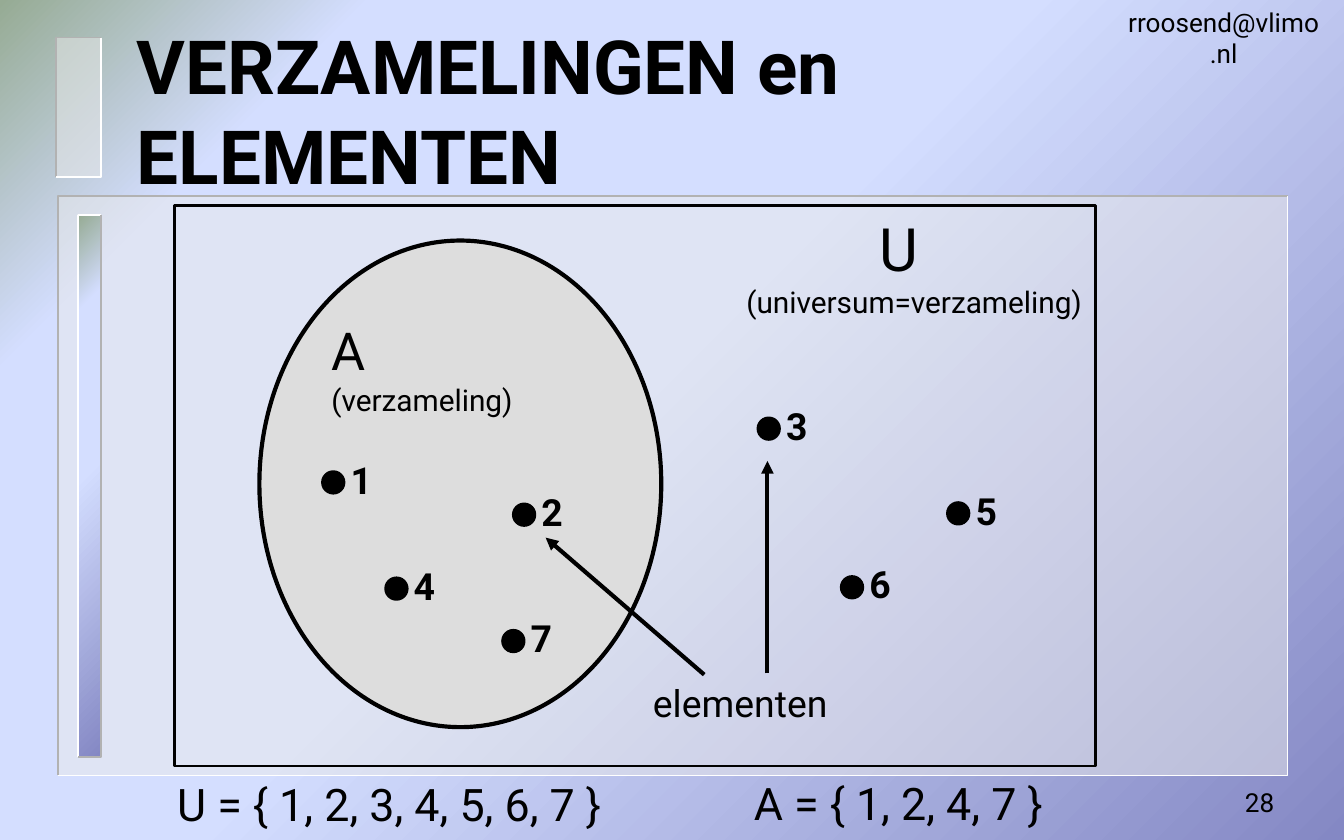
from lxml import etree
from pptx import Presentation
from pptx.dml.color import RGBColor
from pptx.enum.shapes import MSO_CONNECTOR, MSO_SHAPE
from pptx.enum.text import MSO_ANCHOR, MSO_AUTO_SIZE, PP_ALIGN
from pptx.oxml.ns import qn
from pptx.util import Inches, Pt

RECT, OVAL = MSO_SHAPE.RECTANGLE, MSO_SHAPE.OVAL
STRAIGHT = MSO_CONNECTOR.STRAIGHT
LEFT, CENTER, RIGHT = PP_ALIGN.LEFT, PP_ALIGN.CENTER, PP_ALIGN.RIGHT
TOP, MIDDLE = MSO_ANCHOR.TOP, MSO_ANCHOR.MIDDLE
GROW = MSO_AUTO_SIZE.SHAPE_TO_FIT_TEXT

BLACK, WHITE, GREY = "000000", "FFFFFF", "B2B2B2"
PANEL, SET_FILL = "EAEAEA", "DDDDDD"
GRADIENT = [(0, "8488C4"), (53, "D4DEFF"), (83, "D4DEFF"), (100, "96AB94")]
DOT = 0.16


def rgb(value):
    return RGBColor.from_string(value)


class Deck:
    font = "Roboto"

    def __init__(self, prs):
        self.slide = prs.slides.add_slide(prs.slide_layouts[6])
        self.shapes = self.slide.shapes

    def gradient(self, fill, element):
        """Give the fill inside element the diagonal four-stop gradient."""
        fill.gradient()
        fill.gradient_angle = 135
        stops = element.find(".//" + qn("a:gsLst"))
        stops.clear()
        for pos, color in GRADIENT:
            gs = etree.SubElement(stops, qn("a:gs"), pos=str(pos * 1000))
            etree.SubElement(gs, qn("a:srgbClr"), val=color)

    def background(self):
        self.gradient(self.slide.background.fill, self.slide._element)

    def shape(self, kind, x, y, w, h, fill=None, line=None, width=1.5, alpha=None):
        sp = self.shapes.add_shape(kind, Inches(x), Inches(y), Inches(w), Inches(h))
        sp.shadow.inherit = False
        if fill:
            sp.fill.solid()
            sp.fill.fore_color.rgb = rgb(fill)
        else:
            sp.fill.background()
        if alpha:
            color = sp._element.spPr.find(".//" + qn("a:srgbClr"))
            etree.SubElement(color, qn("a:alpha"), val=str(alpha * 1000))
        if line:
            sp.line.color.rgb = rgb(line)
            sp.line.width = Pt(width)
        else:
            sp.line.fill.background()
        return sp

    def edge(self, points, color):
        (x, y), *rest = [(Inches(px), Inches(py)) for px, py in points]
        builder = self.shapes.build_freeform(x, y)
        builder.add_line_segments(rest, close=False)
        sp = builder.convert_to_shape()
        sp.shadow.inherit = False
        sp.fill.background()
        sp.line.color.rgb = rgb(color)
        sp.line.width = Pt(1)

    def bevel(self, x, y, w, h, raised=False):
        """Draw a panel with dark and light edges; a raised one is lit from top left."""
        if raised:
            sp = self.shape(RECT, x, y, w, h)
            self.gradient(sp.fill, sp._element)
        else:
            self.shape(RECT, x, y, w, h, PANEL, alpha=50)
        right, bottom = x + w, y + h
        top_left, bottom_right = (WHITE, GREY) if raised else (GREY, WHITE)
        self.edge([(right, y), (x, y), (x, bottom)], top_left)
        self.edge([(right, y), (right, bottom), (x, bottom)], bottom_right)

    def run(self, p, text, size, bold=False, align=LEFT):
        p.alignment = align
        r = p.add_run()
        r.text = text
        r.font.name = self.font
        r.font.size = Pt(size)
        r.font.bold = bold
        r.font.color.rgb = rgb(BLACK)

    def text(self, x, y, w, h, text, size, bold=False, align=LEFT,
             anchor=TOP, wrap=False):
        tf = self.shapes.add_textbox(Inches(x), Inches(y), Inches(w), Inches(h)).text_frame
        tf.word_wrap = wrap
        tf.vertical_anchor = anchor
        if anchor == TOP:
            tf.auto_size = GROW
        self.run(tf.paragraphs[0], text, size, bold, align)

    def set_label(self, sp, name, size, note, align=LEFT, note_align=LEFT, indent=0):
        """Put a set's name and, below it, its explanation inside its shape."""
        tf = sp.text_frame
        tf.word_wrap = True
        tf.vertical_anchor = TOP
        p = tf.paragraphs[0]
        if indent:
            p._p.get_or_add_pPr().set("marL", str(Inches(indent)))
        self.run(p, name, size, align=align)
        self.run(tf.add_paragraph(), note, 16, align=note_align)

    def element(self, number, x, y):
        self.shape(OVAL, x, y, DOT, DOT, BLACK, BLACK)
        self.text(x + 0.11, y - 0.16, 0.38, 0.44, number, 20, bold=True)

    def arrow(self, x1, y1, x2, y2):
        cxn = self.shapes.add_connector(
            STRAIGHT, Inches(x1), Inches(y1), Inches(x2), Inches(y2))
        cxn.line.color.rgb = rgb(BLACK)
        cxn.line.width = Pt(2.25)
        etree.SubElement(cxn.line._get_or_add_ln(), qn("a:tailEnd"), type="triangle")
        etree.SubElement(cxn._element.spPr, qn("a:effectLst"))


def main():
    prs = Presentation()
    prs.slide_width, prs.slide_height = Inches(10), Inches(6.25)
    deck = Deck(prs)

    deck.background()
    deck.bevel(0.43, 1.46, 9.15, 4.31)
    deck.bevel(0.58, 1.6, 0.17, 4.03, raised=True)
    deck.bevel(0.42, 0.28, 0.33, 1.04)

    deck.text(0.92, 0.31, 8.5, 1.01, "VERZAMELINGEN en ELEMENTEN", 40,
              bold=True, anchor=MIDDLE, wrap=True)
    deck.text(8.28, 0.07, 1.65, 0.42, "rroosend@vlimo.nl", 14,
              align=CENTER, anchor=MIDDLE)
    deck.text(7.5, 5.76, 2.08, 0.42, "28", 14, align=RIGHT, anchor=MIDDLE, wrap=True)

    universe = deck.shape(RECT, 1.3, 1.53, 6.85, 4.17, line=BLACK)
    deck.set_label(universe, "U", 32, "(universum=verzameling)",
                   align=CENTER, note_align=RIGHT, indent=3.93)
    subset = deck.shape(OVAL, 1.93, 1.79, 2.99, 3.62, SET_FILL, BLACK, 2.25)
    deck.set_label(subset, "A", 28, "(verzameling)")

    for number, x, y in [("1", 2.4, 3.51), ("7", 3.74, 4.69), ("4", 2.87, 4.3),
                         ("2", 3.82, 3.75), ("6", 6.26, 4.29), ("5", 7.05, 3.74),
                         ("3", 5.64, 3.11)]:
        deck.element(number, x, y)

    deck.text(4.76, 5.01, 1.5, 0.44, "elementen", 20)
    deck.arrow(5.24, 5.02, 4.06, 4)
    deck.arrow(5.71, 5.01, 5.71, 3.43)

    deck.text(1.22, 5.73, 3.94, 0.5, "U = { 1, 2, 3, 4, 5, 6, 7 }", 24)
    deck.text(5.51, 5.72, 2.75, 0.5, "A = { 1, 2, 4, 7 }", 24)

    prs.save("out.pptx")


if __name__ == "__main__":
    main()
